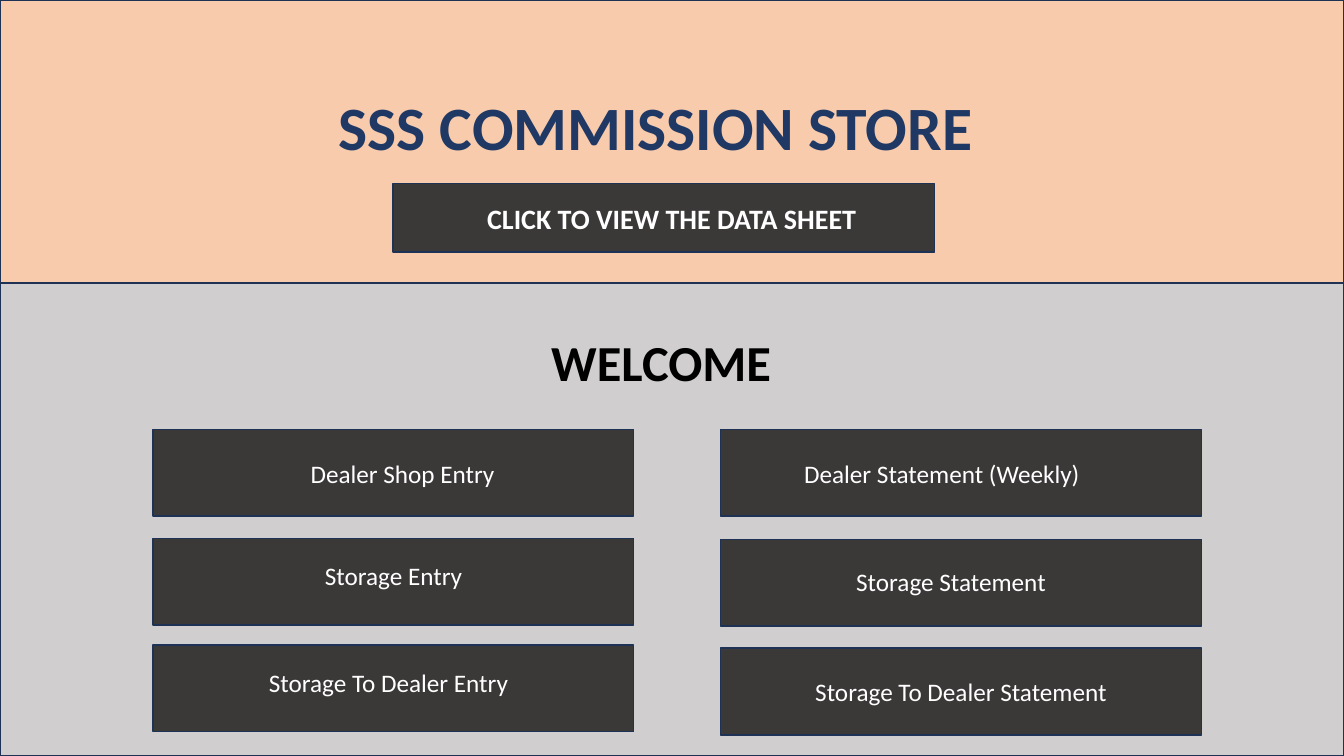
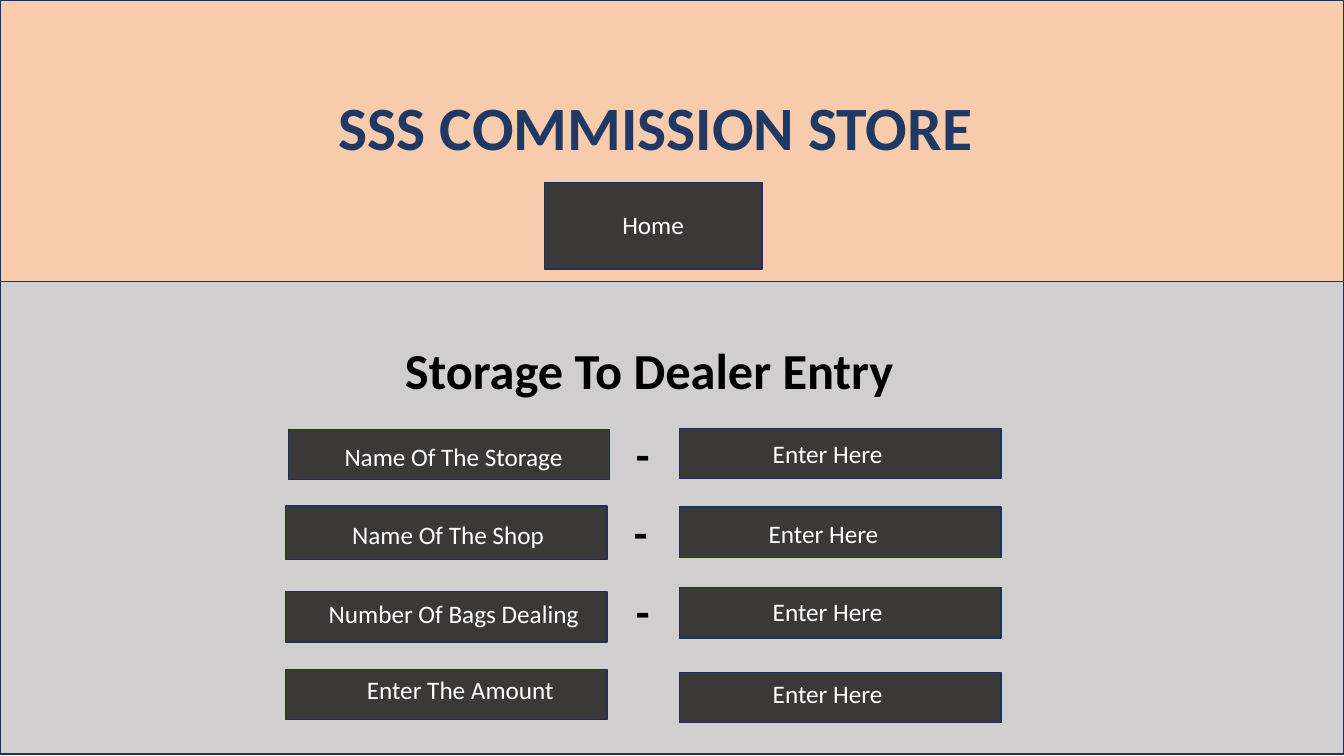
from pptx import Presentation
from pptx.dml.color import RGBColor
from pptx.enum.shapes import MSO_SHAPE as Shape
from pptx.enum.text import MSO_ANCHOR as Anchor, MSO_AUTO_SIZE as Fit, PP_ALIGN as Align
from pptx.util import Pt

PEACH = RGBColor(0xF8, 0xCB, 0xAD)
GREY = RGBColor(0xD0, 0xCE, 0xCE)
DARK = RGBColor(0x3B, 0x38, 0x38)
EDGE = RGBColor(0x1E, 0x32, 0x56)
NAVY = RGBColor(0x20, 0x38, 0x64)
BLACK = RGBColor(0, 0, 0)
WHITE = RGBColor(255, 255, 255)

WIDE, HIGH = 960, 540
STORE = "SSS COMMISSION STORE"
BRAND = {"size": Pt(44), "bold": True, "name": "Calibri"}
HEAD = {"size": Pt(36), "bold": True, "name": "Calibri"}
DASH = {"size": Pt(32), "bold": True, "name": "Calibri"}
LABEL = {"size": Pt(18), "bold": False, "name": "Calibri"}
STRONG = {"size": Pt(20), "bold": True, "name": "Calibri"}

MENU = [
    ("Dealer Shop Entry", 109.4, 306.7, 6.5, 0.7),
    ("Storage Entry", 109.4, 384.5, 0, -4.3),
    ("Storage To Dealer Entry", 109.4, 460.8, -3.6, -4.3),
    ("Dealer Statement (Weekly)", 514.8, 306.7, -13.7, 0.7),
    ("Storage Statement", 514.8, 385.2, -7.2, -0.7),
    ("Storage To Dealer Statement", 514.8, 463, 0, 0),
]
FIELDS = [
    ("Name Of The Storage", 205.9, 306.7, 36, 3.2, 1.4),
    ("Name Of The Shop", 203.8, 361.4, 38.2, 1.4, 1.1),
    ("Number Of Bags Dealing", 203.8, 422.6, 36, 5.4, -2.2),
    ("Enter The Amount", 203.8, 478.1, 36, 10.1, -3.6),
]
ENTRIES = [(306, -9, 0), (362.2, -11.9, 0.7), (419.8, -9, -1.4), (480.2, -9, -2.9)]
DASHES = [(447.1, 301), (445.7, 357.1), (447.1, 413.3)]


def assign(item, values):
    for key, value in values.items():
        setattr(item, key, value)


def write(frame, text, style, color, align, anchor):
    assign(frame, {"text": text, "word_wrap": True, "auto_size": Fit.NONE,
                   "vertical_anchor": anchor})
    para = frame.paragraphs[0]
    para.alignment = align
    assign(para.font, style)
    para.font.color.rgb = color


def panel(slide, box, fill):
    shape = slide.shapes.add_shape(Shape.RECTANGLE, *map(Pt, box))
    shape.shadow.inherit = False
    shape.fill.solid()
    shape.fill.fore_color.rgb = fill
    shape.line.color.rgb = EDGE
    shape.line.width = Pt(1)
    return shape


def button(slide, text, box, right=0, down=0, style=LABEL):
    frame = panel(slide, box, DARK).text_frame
    write(frame, text, style, WHITE, Align.CENTER, Anchor.MIDDLE)
    assign(frame, {
        "margin_left": Pt(max(0, 2 * right)),
        "margin_right": Pt(max(0, -2 * right)),
        "margin_top": Pt(max(0, 2 * down)),
        "margin_bottom": Pt(max(0, -2 * down)),
    })


def note(slide, text, box, style):
    frame = slide.shapes.add_textbox(*map(Pt, box)).text_frame
    write(frame, text, style, BLACK, Align.LEFT, Anchor.TOP)


def page(deck, split):
    slide = deck.slides.add_slide(deck.slide_layouts[5])
    panel(slide, (0, 0, WIDE, 202.3), PEACH)
    panel(slide, (0, split, WIDE, 337.7), GREY)
    title = slide.shapes.title
    assign(title, {"left": Pt(234.7), "top": Pt(59.8),
                   "width": Pt(491), "height": Pt(60.5)})
    write(title.text_frame, STORE, BRAND, NAVY, Align.LEFT, Anchor.TOP)
    title.element.getparent().append(title.element)
    return slide


def welcome(deck):
    slide = page(deck, 202.3)
    note(slide, "WELCOME", (386.6, 232.6, 445, 51), HEAD)
    for text, left, top, right, down in MENU:
        button(slide, text, (left, top, 343.4, 61.9), right, down)
    button(slide, "CLICK TO VIEW THE DATA SHEET",
           (280.8, 131, 386.6, 49), 5.8, 0.7, STRONG)


def entry(deck):
    slide = page(deck, 200.9)
    note(slide, "Storage To Dealer Entry", (282.2, 239, 560.2, 51), HEAD)
    button(slide, "Home", (388.8, 130.3, 155.5, 61.9), 0, -0.7)
    for text, left, top, tall, right, down in FIELDS:
        button(slide, text, (left, top, 229.7, tall), right, down)
    for top, right, down in ENTRIES:
        button(slide, "Enter Here", (485.3, top, 229.7, 36), right, down)
    for left, top in DASHES:
        note(slide, "-", (left, top, 22.3, 46.1), DASH)


def main():
    deck = Presentation()
    assign(deck, {"slide_width": Pt(WIDE), "slide_height": Pt(HIGH)})
    welcome(deck)
    entry(deck)
    deck.save("out.pptx")


if __name__ == "__main__":
    main()
